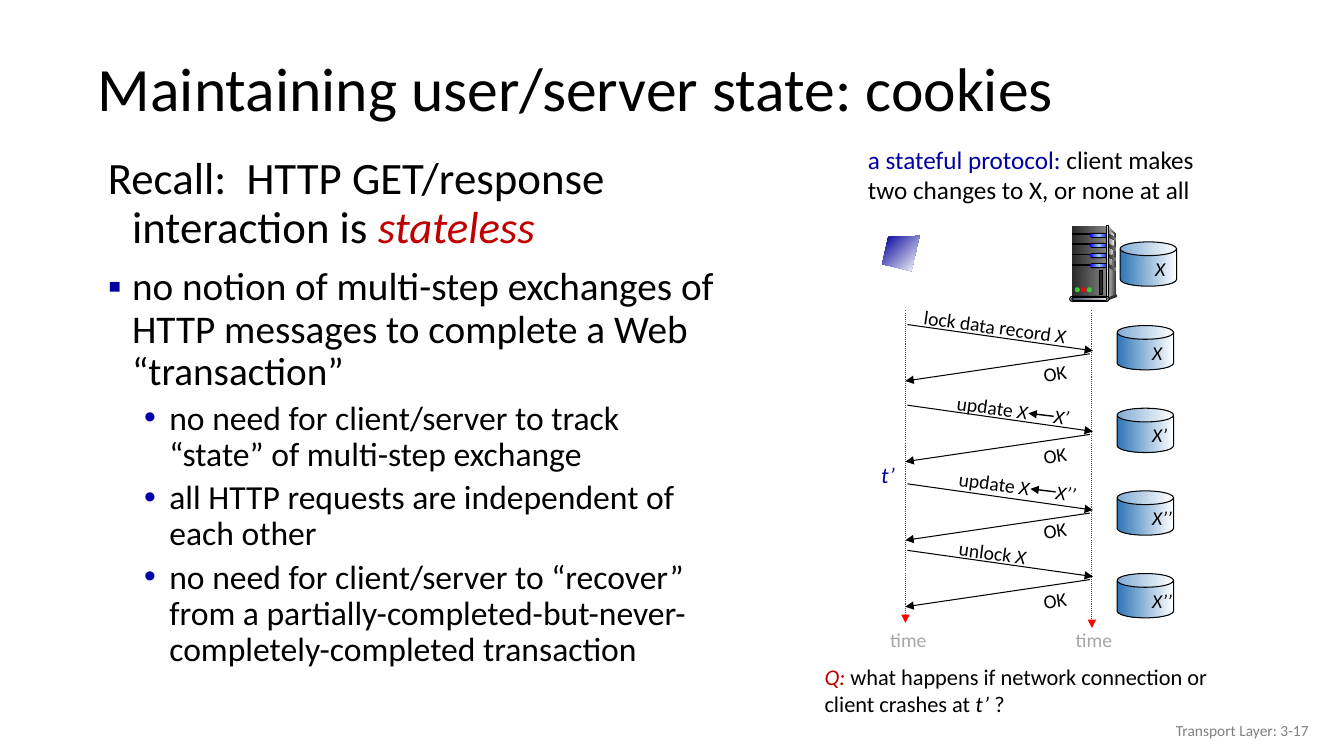
import copy
from dataclasses import dataclass

import lxml.etree
import pptx
import pptx.dml.color
import pptx.enum.dml
import pptx.enum.shapes
import pptx.enum.text
import pptx.oxml.ns
import pptx.util

Inches = pptx.util.Inches
Shape = pptx.enum.shapes.MSO_SHAPE
Align = pptx.enum.text.PP_ALIGN
Anchor = pptx.enum.text.MSO_ANCHOR
qn = pptx.oxml.ns.qn


@dataclass(frozen=True)
class Theme:
    font: str = "Calibri"
    black: str = "000000"
    blue: str = "0000A3"
    bullet: str = "0000A8"
    red: str = "C00000"
    axis: str = "FF0000"
    time: str = "A6A6A6"
    footer: str = "808080"
    title_size: int = 44
    lead_size: int = 32
    list_size: int = 28
    sublist_size: int = 24
    caption_size: int = 18
    question_size: int = 16
    label_size: int = 14
    footer_size: int = 11
    disk: tuple = ("2E75B6", "FFFFFF")
    client: tuple = ("000099", "FFFFFF")
    case: tuple = ("292929", "808080")
    side: tuple = ("DDDDDD", "333333")
    sheen: tuple = ("808080", "F8F8F8")
    edge: tuple = ("333333", "DDDDDD", "333333")
    base: tuple = ("44546A", "E7E6E6")
    drive: tuple = ("0000FF", "99CCFF", "0000FF")
    lights: tuple = ("33CC33", "FF0000", "33CC33")


THEME = Theme()


@dataclass(frozen=True)
class Words:
    text: str
    color: str = THEME.black
    italic: bool = False


@dataclass(frozen=True)
class Item:
    words: tuple
    size: int
    level: int = 0
    mark: str = ""
    mark_color: str = THEME.bullet
    margin: float = 0.39
    hanging: float = 0.24
    before: int = 0


@dataclass(frozen=True)
class Exchange:
    top: float
    words: tuple
    label_left: float
    label_top: float
    label_width: float
    ok_top: float
    record: str


def add_words(para, text: str, *, size: int, color: str = THEME.black, italic: bool = False) -> None:
    span = para.add_run()
    span.text = text
    span.font.name = THEME.font
    span.font.size = pptx.util.Pt(size)
    span.font.italic = italic
    span.font.color.rgb = pptx.dml.color.RGBColor.from_string(color)


def add_text(shapes, area: tuple, words: tuple, size: int, *, angle: float = 0, right: float = 0.1,
             align=Align.LEFT, anchor=Anchor.TOP, spacing: float = 1.0, tab: float = 0) -> None:
    box = shapes.add_textbox(*map(Inches, area))
    box.rotation = angle
    frame = box.text_frame
    frame.word_wrap = True
    frame.margin_right = Inches(right)
    frame.vertical_anchor = anchor
    para = frame.paragraphs[0]
    para.alignment = align
    para.line_spacing = spacing
    if tab:
        stops = lxml.etree.SubElement(para._p.get_or_add_pPr(), qn("a:tabLst"))
        lxml.etree.SubElement(stops, qn("a:tab"), pos=str(Inches(tab)), algn="l")
    for part in words:
        add_words(para, part.text, size=size, color=part.color, italic=part.italic)


def paint(shape, colors: tuple, *, angle: float = 0, outlined: bool = False) -> None:
    shape.shadow.inherit = False
    if len(colors) == 1:
        shape.fill.solid()
        shape.fill.fore_color.rgb = pptx.dml.color.RGBColor.from_string(colors[0])
    else:
        shape.fill.gradient()
        shape.fill.gradient_angle = angle
        stop_list = shape._element.spPr.find(".//" + qn("a:gsLst"))
        for _ in colors[2:]:
            stop_list.append(copy.deepcopy(stop_list[0]))
        for index, (stop, color) in enumerate(zip(shape.fill.gradient_stops, colors)):
            stop.position = index / (len(colors) - 1)
            stop.color.rgb = pptx.dml.color.RGBColor.from_string(color)
    if outlined:
        shape.line.width = pptx.util.Pt(0.75)
        shape.line.color.rgb = pptx.dml.color.RGBColor.from_string(THEME.black)
    else:
        shape.line.fill.background()


def add_block(shapes, kind, area: tuple, colors: tuple, *, outlined: bool = False, bend: float = 0) -> None:
    shape = shapes.add_shape(kind, *map(Inches, area))
    if bend:
        shape.adjustments[0] = bend
    paint(shape, colors, outlined=outlined)


def add_outline(shapes, points: list, colors: tuple, *, angle: float = 0) -> None:
    corners = [(Inches(x), Inches(y)) for x, y in points]
    builder = shapes.build_freeform(*corners[0], scale=1.0)
    builder.add_line_segments(corners[1:], close=True)
    paint(builder.convert_to_shape(), colors, angle=angle)


def add_arrow(shapes, start: tuple, end: tuple, *, color: str = THEME.black,
              width: float = 0.75, dotted: bool = False) -> None:
    arrow = shapes.add_connector(pptx.enum.shapes.MSO_CONNECTOR.STRAIGHT, *map(Inches, start + end))
    arrow.line.color.rgb = pptx.dml.color.RGBColor.from_string(color)
    arrow.line.width = pptx.util.Pt(width)
    if dotted:
        arrow.line.dash_style = pptx.enum.dml.MSO_LINE.ROUND_DOT
    lxml.etree.SubElement(arrow.line._get_or_add_ln(), qn("a:tailEnd"), type="triangle")
    lxml.etree.SubElement(arrow._element.spPr, qn("a:effectLst"))


def place(holder, area: tuple):
    holder.left, holder.top, holder.width, holder.height = map(Inches, area)
    holder.text_frame.word_wrap = True
    holder.text_frame.auto_size = pptx.enum.text.MSO_AUTO_SIZE.NONE
    return holder.text_frame


def add_item(para, item: Item) -> None:
    para.level = item.level
    para.alignment = Align.LEFT
    para.line_spacing = 0.9
    para.space_before = pptx.util.Pt(item.before)
    properties = para._p.get_or_add_pPr()
    properties.set("marL", str(Inches(item.margin)))
    properties.set("indent", str(-Inches(item.hanging)))
    if item.mark:
        tint = lxml.etree.SubElement(properties, qn("a:buClr"))
        lxml.etree.SubElement(tint, qn("a:srgbClr"), val=item.mark_color)
        lxml.etree.SubElement(properties, qn("a:buChar"), char=item.mark)
    else:
        lxml.etree.SubElement(properties, qn("a:buNone"))
    for part in item.words:
        add_words(para, part.text, size=item.size, color=part.color, italic=part.italic)


def add_server(shapes) -> None:
    add_outline(shapes, [(10.99, 2.24), (11.07, 2.33), (11.07, 2.92), (10.98, 2.95)], THEME.side)
    add_block(shapes, Shape.RECTANGLE, (10.63, 2.24, 0.34, 0.71), THEME.case)
    add_outline(shapes, [(11, 2.28), (11.05, 2.34), (11.02, 2.6), (11, 2.93)], THEME.sheen)
    for row in range(4):
        top = 2.32 + 0.1 * row
        add_block(shapes, Shape.RECTANGLE, (10.64, top, 0.19, 0.01), (THEME.black,), outlined=True)
        add_block(shapes, Shape.ROUNDED_RECTANGLE, (10.81, top - 0.01, 0.19, 0.05), (THEME.black,), bend=0.5)
        add_block(shapes, Shape.ROUNDED_RECTANGLE, (10.81, top, 0.18, 0.03), THEME.drive, bend=0.5)
        add_outline(shapes, [(10.99, top), (11.07, top + 0.04), (11.07, top + 0.07), (10.99, top + 0.03)], THEME.case)
    add_block(shapes, Shape.RECTANGLE, (10.97, 2.24, 0.02, 0.72), THEME.edge, outlined=True)
    add_block(shapes, Shape.OVAL, (11.06, 2.92, 0.02, 0.03), THEME.edge[:1])
    add_outline(shapes, [(10.99, 2.95), (10.99, 2.98), (11.07, 2.95), (11.07, 2.92)], THEME.edge[:1])
    add_block(shapes, Shape.ROUNDED_RECTANGLE, (10.61, 2.94, 0.39, 0.05), THEME.side[:1], outlined=True, bend=0.5)
    add_block(shapes, Shape.ROUNDED_RECTANGLE, (10.63, 2.95, 0.35, 0.03), THEME.base, outlined=True, bend=0.5)
    for index, light in enumerate(THEME.lights):
        add_block(shapes, Shape.OVAL, (10.66 + 0.06 * index, 2.85, 0.05, 0.05), (light,))
    add_block(shapes, Shape.RECTANGLE, (10.91, 2.68, 0.03, 0.24), THEME.case[:1], outlined=True)


def add_disk(shapes, left: float, top: float, record: str) -> None:
    add_block(shapes, Shape.CAN, (left, top, 0.56, 0.44), THEME.disk, outlined=True, bend=0.31)
    add_text(shapes, (left + 0.25, top + 0.1, 0.4, 0.34), (Words(record, italic=True),), THEME.label_size, right=0)


def add_exchange(shapes, exchange: Exchange) -> None:
    left, top = exchange.label_left, exchange.label_top
    update = "\t" in exchange.words[-1].text
    add_arrow(shapes, (9, exchange.top), (10.84, exchange.top + 0.26))
    add_text(shapes, (left, top, exchange.label_width, 0.34), exchange.words, THEME.label_size,
             angle=7.7, right=0, tab=0.97 if update else 0)
    if update:
        add_arrow(shapes, (left + 1.06, top + 0.22), (left + 0.81, top + 0.19), width=1)
    add_arrow(shapes, (10.81, exchange.top + 0.29), (8.98, exchange.top + 0.56))
    add_text(shapes, (10.25, exchange.ok_top, 0.51, 0.34), (Words("OK"),), THEME.label_size, angle=351.8, right=0)


ITEMS = [
    Item((Words("Recall:  HTTP GET/response interaction is "), Words("stateless", THEME.red, True)), THEME.lead_size),
    Item((Words("no notion of multi-step exchanges of HTTP messages to complete a Web “transaction”"),),
         THEME.list_size, mark="▪", mark_color=THEME.blue, before=10),
] + [
    Item((Words(text),), THEME.sublist_size, level=1, mark="•", margin=0.76, hanging=0.25, before=5)
    for text in ("no need for client/server to track “state” of multi-step exchange",
                 "all HTTP requests are independent of each other",
                 "no need for client/server to “recover” from a partially-completed-but-never-completely-completed transaction")
]
EXCHANGES = [
    Exchange(3.22, (Words("lock data record "), Words("X", italic=True)), 9.06, 3.08, 1.71, 3.53, "X"),
    Exchange(4.02, (Words("update "), Words("X\tX’", italic=True)), 9.39, 3.91, 1.46, 4.34, "X’"),
    Exchange(4.8, (Words("update "), Words("X\tX’’", italic=True)), 9.41, 4.66, 1.37, 5.09, "X’’"),
    Exchange(5.46, (Words("unlock "), Words("X", italic=True)), 9.41, 5.34, 1.23, 5.78, "X’’"),
]


def main() -> None:
    deck = pptx.Presentation()
    deck.slide_width, deck.slide_height = Inches(13.33), Inches(7.5)
    page = deck.slides.add_slide(deck.slide_layouts[1])
    shapes = page.shapes
    title = place(shapes.title, (0.87, 0.42, 11.5, 0.98))
    title.vertical_anchor = Anchor.MIDDLE
    title.paragraphs[0].alignment = Align.LEFT
    title.paragraphs[0].line_spacing = 0.9
    add_words(title.paragraphs[0], "Maintaining user/server state: cookies", size=THEME.title_size)
    body = place(page.placeholders[1], (0.82, 1.5, 6.43, 5.29))
    for index, item in enumerate(ITEMS):
        add_item(body.add_paragraph() if index else body.paragraphs[0], item)

    add_text(shapes, (8.51, 1.38, 3.66, 0.71), (Words("a stateful protocol: ", THEME.blue),
             Words("client makes two changes to X, or none at all")), THEME.caption_size)
    for axis, bottom, label_left in ((8.98, 6.18, 8.73), (10.83, 6.23, 10.57)):
        add_arrow(shapes, (axis, 3.08), (axis, bottom), color=THEME.axis, dotted=True)
        add_text(shapes, (label_left, 6.18, 0.57, 0.34), (Words("time", THEME.time),), THEME.label_size, right=0)
    add_server(shapes.add_group_shape().shapes)
    add_outline(shapes, [(9.12, 2.34), (8.81, 2.35), (8.75, 2.62), (9.04, 2.69)], THEME.client, angle=315)
    add_disk(shapes, 11.11, 2.4, "X")
    for row, exchange in enumerate(EXCHANGES):
        add_exchange(shapes, exchange)
        add_disk(shapes, 11.08, 3.23 + 0.82 * row, exchange.record)
    add_text(shapes, (8.64, 4.53, 0.45, 0.37), (Words("t’", THEME.blue, True),), THEME.question_size, right=0)
    add_text(shapes, (8.08, 6.53, 4.5, 0.64), (Words("Q: ", THEME.red, True),
             Words("what happens if network connection or client crashes at "),
             Words("t’ ", italic=True), Words("?")), THEME.question_size)
    add_text(shapes, (10.08, 7.05, 3, 0.4), (Words("Transport Layer: 3-17", THEME.footer),),
             THEME.footer_size, align=Align.RIGHT, anchor=Anchor.MIDDLE)
    deck.save("out.pptx")


if __name__ == "__main__":
    main()
